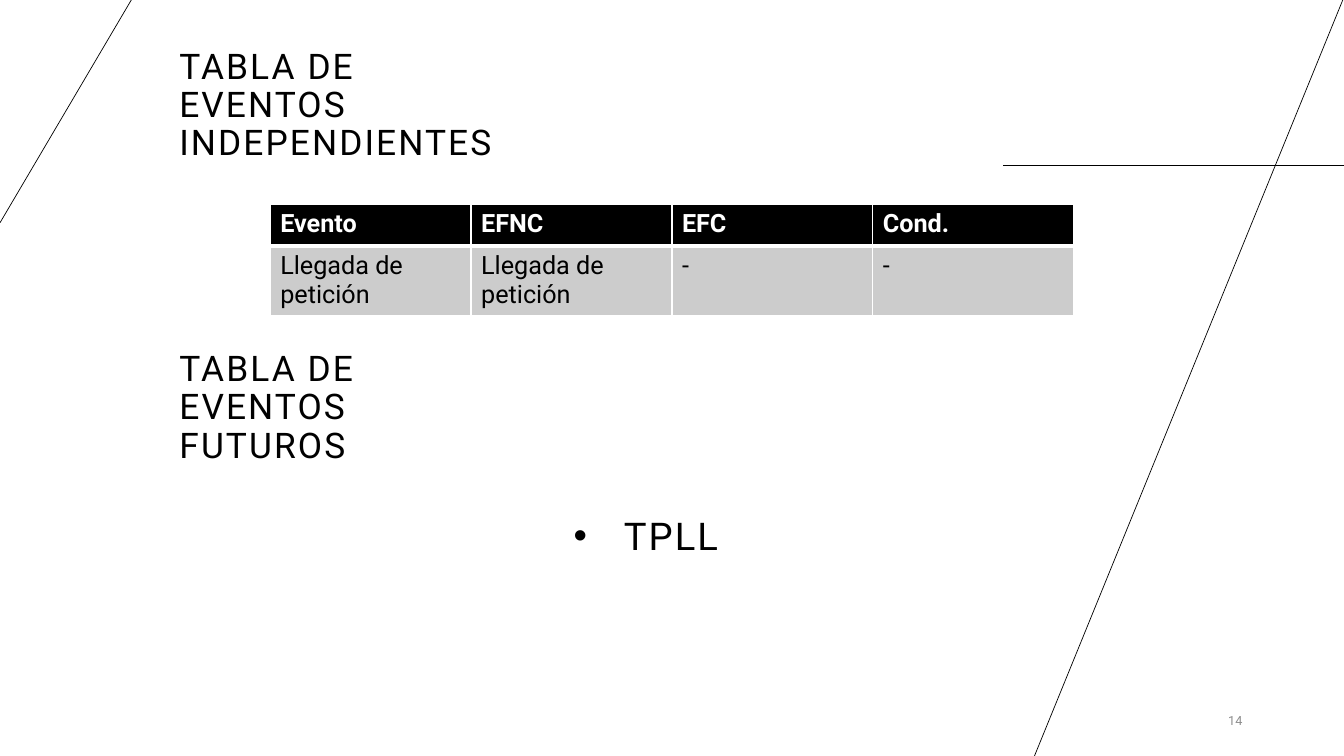
"""Build the slide with the independent and future event tables."""
from dataclasses import dataclass

from lxml import etree
from pptx import Presentation
from pptx import util as u
from pptx.dml.color import RGBColor
from pptx.enum import shapes, text
from pptx.oxml import ns

BLACK, WHITE, GREY, PALE = "000000", "FFFFFF", "8C8C8C", "CCCCCC"
HEADING = dict(size=25.2, spacing=150, line=0.9)
ROWS = [
    ["Evento", "EFNC", "EFC", "Cond."],
    ["Llegada de petición", "Llegada de petición", "-", "-"],
]


@dataclass
class Rule:
    x1: float
    y1: float
    x2: float
    y2: float


@dataclass
class Area:
    left: float
    top: float
    width: float = 3.57
    height: float = 0.92


RULES = [
    Rule(9.95, 1.64, 13.33, 1.64),
    Rule(13.33, -0.03, 10.26, 7.5),
    Rule(0, 2.21, 1.32, -0.03),
]


def color(code: str) -> RGBColor:
    return RGBColor.from_string(code)


def add_child(parent, tag: str, **attributes: str):
    return etree.SubElement(parent, ns.qn(tag), attributes)


def write(frame, words: str, *, size: float, ink: str = BLACK, bold: bool = False,
          align=text.PP_ALIGN.LEFT, spacing: int = 0, line: float = 1.0,
          bullet: str = "") -> None:
    para = frame.paragraphs[0]
    if bullet:
        properties = para._p.get_or_add_pPr()
        properties.set("marL", str(u.Inches(0.5)))
        properties.set("indent", str(u.Inches(-0.5)))
        add_child(properties, "a:buFont", typeface="Arial")
        add_child(properties, "a:buChar", char=bullet)
    para.alignment = align
    para.line_spacing = line
    span = para.add_run()
    span.text = words
    span.font.name = "Roboto"
    span.font.size = u.Pt(size)
    span.font.bold = bold
    span.font.color.rgb = color(ink)
    if spacing:
        span._r.get_or_add_rPr().set("spc", str(spacing))


def place(box, area: Area, anchor=text.MSO_ANCHOR.BOTTOM):
    box.left, box.top = u.Inches(area.left), u.Inches(area.top)
    box.width, box.height = u.Inches(area.width), u.Inches(area.height)
    frame = box.text_frame
    frame.word_wrap = True
    frame.auto_size = text.MSO_AUTO_SIZE.NONE
    frame.vertical_anchor = anchor
    return frame


def add_box(page, area: Area, anchor=text.MSO_ANCHOR.BOTTOM):
    return place(page.shapes.add_textbox(0, 0, 0, 0), area, anchor)


def add_rule(page, rule: Rule) -> None:
    ends = (u.Inches(value) for value in (rule.x1, rule.y1, rule.x2, rule.y2))
    connector = page.shapes.add_connector(shapes.MSO_CONNECTOR.STRAIGHT, *ends)
    connector.line.color.rgb = color(BLACK)
    connector.line.width = u.Pt(0.5)
    add_child(connector._element.spPr, "a:effectLst")


def add_borders(cell, bottom: float) -> None:
    properties = cell._tc.get_or_add_tcPr()
    for side, width in (("L", 1), ("R", 1), ("T", 1), ("B", bottom)):
        border = add_child(properties, f"a:ln{side}", w=str(u.Pt(width)))
        add_child(add_child(border, "a:solidFill"), "a:srgbClr", val=WHITE)


def add_events(page) -> None:
    table = page.shapes.add_table(
        len(ROWS), len(ROWS[0]), u.Inches(2.68), u.Inches(2.03),
        u.Inches(7.97), u.Inches(0.82)).table
    for row, words in enumerate(ROWS):
        header = row == 0
        for column, word in enumerate(words):
            cell = table.cell(row, column)
            add_borders(cell, 3 if header else 1)
            cell.fill.solid()
            cell.fill.fore_color.rgb = color(BLACK if header else PALE)
            write(cell.text_frame, word, size=18, bold=header,
                  ink=WHITE if header else BLACK)


def main() -> None:
    deck = Presentation()
    deck.slide_width, deck.slide_height = u.Inches(13.33), u.Inches(7.5)
    page = deck.slides.add_slide(deck.slide_layouts[5])
    for rule in RULES:
        add_rule(page, rule)
    write(place(page.shapes.title, Area(1.68, 3.75)),
          "TABLA DE EVENTOS FUTUROS", **HEADING)
    write(add_box(page, Area(11.34, 6.95, 1.08, 0.4), text.MSO_ANCHOR.MIDDLE),
          "14", size=9, ink=GREY, align=text.PP_ALIGN.RIGHT)
    add_events(page)
    write(add_box(page, Area(1.68, 0.75)), "TABLA DE EVENTOS INDEPENDIENTES", **HEADING)
    write(add_box(page, Area(5.59, 4.67)), "TPLL", size=27.3, spacing=150,
          line=0.9, bullet="•")
    deck.save("out.pptx")


if __name__ == "__main__":
    main()
